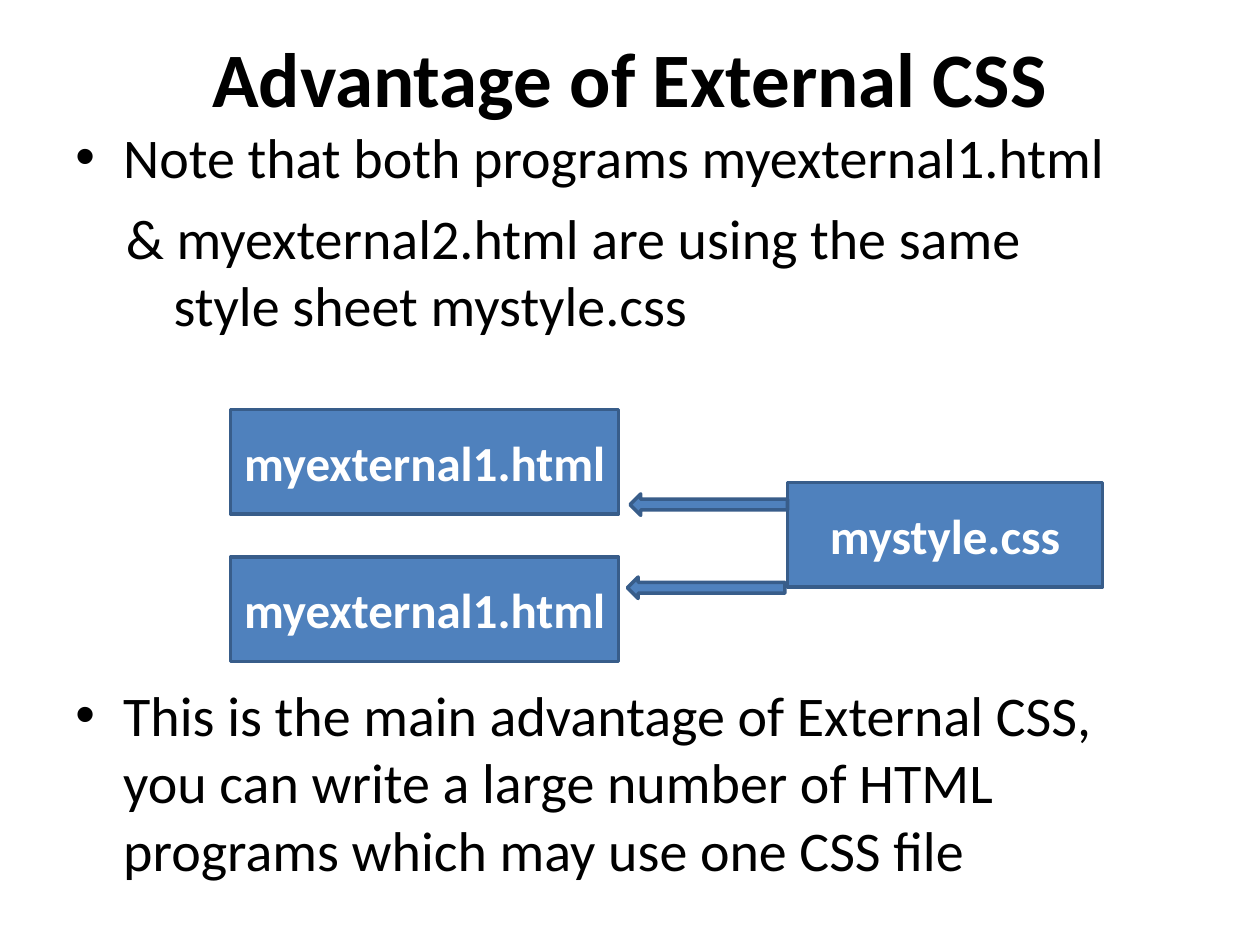
from lxml import etree
from pptx import Presentation
from pptx.dml.color import RGBColor
from pptx.enum import shapes, text
from pptx.oxml.ns import qn
from pptx.util import Inches, Pt

FILL, OUTLINE, BLACK, WHITE = "4F81BD", "385D8A", "000000", "FFFFFF"


def color(value):
    return RGBColor.from_string(value)


def write(para, words, size=32, bold=False, ink=BLACK, align=text.PP_ALIGN.LEFT,
          before=0, margin=0, indent=0, bullet=None):
    """Fill a paragraph; a newline in words becomes a line break."""
    para.text = words
    para.alignment = align
    para.space_before = Pt(before)
    props = para._p.get_or_add_pPr()
    props.set("marL", str(Inches(margin)))
    props.set("indent", str(Inches(indent)))
    if bullet:
        etree.SubElement(props, qn("a:buFont")).set("typeface", "Arial")
        etree.SubElement(props, qn("a:buChar")).set("char", bullet)
    else:
        etree.SubElement(props, qn("a:buNone"))
    for span in para.runs:
        span.font.name = "Calibri"
        span.font.size = Pt(size)
        span.font.bold = bold
        span.font.color.rgb = color(ink)


def place_title(page, left, top, width, height):
    title = page.shapes.title
    title.left, title.top = Inches(left), Inches(top)
    title.width, title.height = Inches(width), Inches(height)
    frame = title.text_frame
    frame.auto_size = text.MSO_AUTO_SIZE.NONE
    frame.vertical_anchor = text.MSO_ANCHOR.MIDDLE
    write(frame.paragraphs[0], "Advantage of External CSS", size=44, bold=True,
          align=text.PP_ALIGN.CENTER)


def add_points(page, left, top, width, height):
    """Add the body text, leaving room for the diagram before the last point."""
    box = page.shapes.add_textbox(*map(Inches, (left, top, width, height)))
    frame = box.text_frame
    frame.word_wrap = True
    points = [
        ("Note that both programs myexternal1.html",
         dict(margin=0.38, bullet="•")),
        ("& myexternal2.html are using the same\nstyle sheet mystyle.css",
         dict(margin=0.78, before=8)),
        ("This is the main advantage of External CSS, you can write a large "
         "number of HTML programs which may use one CSS file",
         dict(margin=0.38, before=196, bullet="•")),
    ]
    for number, (words, style) in enumerate(points):
        para = frame.add_paragraph() if number else frame.paragraphs[0]
        write(para, words, indent=-0.38, **style)


def add_block(page, kind, left, top, width, height, label=None):
    block = page.shapes.add_shape(kind, *map(Inches, (left, top, width, height)))
    block.shadow.inherit = False
    block.fill.solid()
    block.fill.fore_color.rgb = color(FILL)
    block.line.color.rgb = color(OUTLINE)
    block.line.width = Pt(2)
    if label:
        frame = block.text_frame
        frame.word_wrap = True
        frame.vertical_anchor = text.MSO_ANCHOR.MIDDLE
        write(frame.paragraphs[0], label, size=28, bold=True, ink=WHITE,
              align=text.PP_ALIGN.CENTER)


def add_diagram(page, left, top):
    """Draw two pages on the left, fed by one style sheet on the right."""
    kinds = shapes.MSO_SHAPE
    for row in range(2):
        add_block(page, kinds.RECTANGLE, left, top + row * 1.17, 3.08, 0.83,
                  "myexternal1.html")
    add_block(page, kinds.RECTANGLE, left + 4.42, top + 0.58, 2.5, 0.83,
              "mystyle.css")
    for across, down in ((3.17, 0.67), (3.15, 1.33)):
        add_block(page, kinds.LEFT_ARROW, left + across, top + down, 1.25, 0.17)


def main():
    deck = Presentation()
    deck.slide_width, deck.slide_height = Inches(10), Inches(7.5)
    page = deck.slides.add_slide(deck.slide_layouts[5])
    place_title(page, 0.5, 0.3, 9, 0.62)
    add_points(page, 0.5, 0.92, 9, 6.33)
    add_diagram(page, 1.83, 3.25)
    deck.save("out.pptx")


if __name__ == "__main__":
    main()
